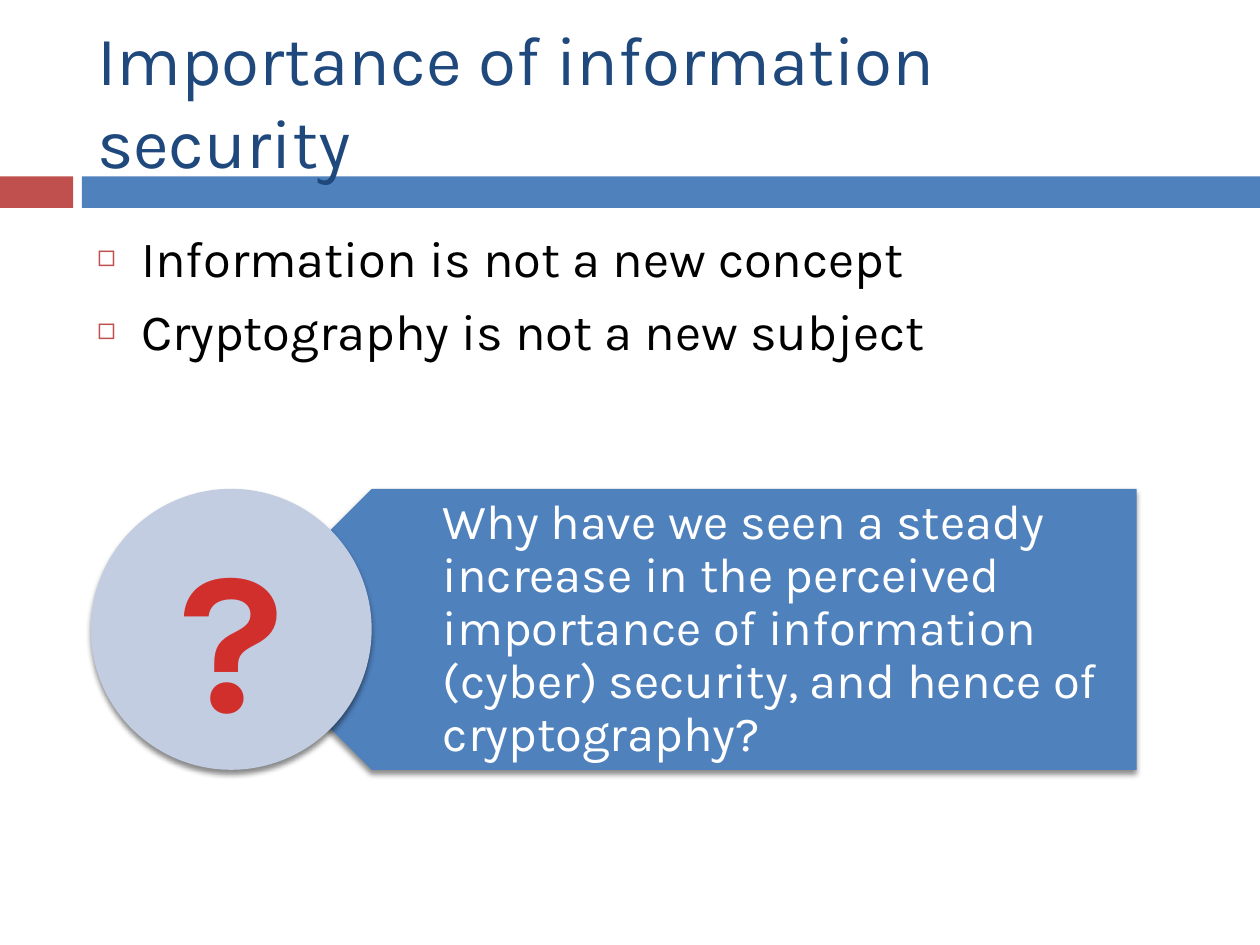
from dataclasses import dataclass

from lxml import etree
from pptx import Presentation
from pptx.dml.color import RGBColor
from pptx.enum.shapes import MSO_SHAPE
from pptx.enum.text import MSO_ANCHOR, MSO_AUTO_SIZE, PP_ALIGN
from pptx.oxml import parse_xml
from pptx.oxml.ns import nsdecls, qn
from pptx.util import Inches, Pt

RECTANGLE, ELLIPSE, PENTAGON = MSO_SHAPE.RECTANGLE, MSO_SHAPE.OVAL, MSO_SHAPE.PENTAGON
TOP, MIDDLE = MSO_ANCHOR.TOP, MSO_ANCHOR.MIDDLE
LEFT, CENTER = PP_ALIGN.LEFT, PP_ALIGN.CENTER
NO_AUTOSIZE = MSO_AUTO_SIZE.NONE

COLUMNS, ROWS = 10, 7.5  # grid cells of one inch
FONT = "Karla"
NAVY, BLUE, RED, PALE = "1F497D", "4F81BD", "C0504D", "C2CDE1"
BLACK, WHITE, SCARLET = "000000", "FFFFFF", "D02F2C"


@dataclass
class Box:
    """An area in grid columns and rows."""
    left: float
    top: float
    width: float
    height: float

    def emu(self):
        return [Inches(n) for n in (self.left, self.top, self.width, self.height)]


def color(value):
    return RGBColor.from_string(value)


def place(shape, box):
    shape.left, shape.top, shape.width, shape.height = box.emu()


def add_filled(shapes, kind, box, fill):
    shape = shapes.add_shape(kind, *box.emu())
    shape.shadow.inherit = False
    shape.fill.solid()
    shape.fill.fore_color.rgb = color(fill)
    shape.line.fill.background()
    return shape


def add_shadow(shape):
    """Cast a soft shadow straight down, whatever the shape's rotation."""
    effects = shape.element.spPr.find(qn("a:effectLst"))
    effects.append(parse_xml(
        f'<a:outerShdw {nsdecls("a")} blurRad="{Pt(3)}" dist="{Pt(2.4)}" '
        'dir="5400000" rotWithShape="0"><a:srgbClr val="000000">'
        '<a:alpha val="45000"/></a:srgbClr></a:outerShdw>'))


def write(shape, lines, size, ink, bold=False, align=LEFT, anchor=TOP, wrap=True,
          margins=(0.1, 0.05, 0.1, 0.05), before=0, spacing=1.0):
    """Fill a shape with one paragraph for each line; return the paragraphs."""
    frame = shape.text_frame
    frame.auto_size = NO_AUTOSIZE
    frame.word_wrap = wrap
    frame.vertical_anchor = anchor
    (frame.margin_left, frame.margin_top,
     frame.margin_right, frame.margin_bottom) = map(Inches, margins)
    frame.text = "\n".join(lines)
    for para in frame.paragraphs:
        para.alignment = align
        para.space_before = Pt(before)
        para.line_spacing = spacing
        font = para.runs[0].font
        font.name, font.size, font.bold = FONT, Pt(size), bold
        font.color.rgb = color(ink)
    return frame.paragraphs


def add_bullet(para, indent):
    props = para._p.get_or_add_pPr()
    props.set("marL", str(Inches(indent)))
    props.set("indent", str(-Inches(indent)))
    tint = etree.SubElement(props, qn("a:buClr"))
    etree.SubElement(tint, qn("a:srgbClr"), val=RED)
    etree.SubElement(props, qn("a:buSzPct"), val="60000")
    etree.SubElement(props, qn("a:buChar"), char="◻")


def draw_band(page, box, tab=0.58, gap=0.07):
    """Draw the two-colour band behind the title."""
    start = box.left + tab + gap
    parts = ((Box(box.left, box.top, tab, box.height), RED),
             (Box(start, box.top, box.width - tab - gap, box.height), BLUE))
    for part, fill in parts:
        bar = add_filled(page.shapes, RECTANGLE, part, fill)
        page.shapes.title.element.addprevious(bar.element)


def fill_title(page, box, text):
    place(page.shapes.title, box)
    write(page.shapes.title, [text], 39.6, NAVY, anchor=MIDDLE)


def fill_list(page, box, lines):
    body = page.placeholders[1]
    place(body, box)
    for para in write(body, lines, 29, BLACK, before=7):
        add_bullet(para, 0.35)


def draw_question(page, box, text):
    """Draw a disc with a question mark that overlaps an arrow-shaped panel."""
    shapes = page.shapes.add_group_shape().shapes
    side = box.height
    radius = side / 2
    right = box.left + box.width
    tip = box.left + radius

    panel = add_filled(shapes, PENTAGON, Box(tip, box.top, right - tip, side), BLUE)
    panel.rotation = 180
    add_shadow(panel)

    text_left = tip + 0.7
    label = shapes.add_textbox(*Box(text_left, box.top, right - text_left, side).emu())
    write(label, [text], 28, WHITE, anchor=MIDDLE, spacing=0.9,
          margins=(0.98, 0.09, 0.16, 0.09))

    disc = add_filled(shapes, ELLIPSE, Box(box.left, box.top, side, side), PALE)
    add_shadow(disc)

    mark = shapes.add_textbox(*Box(tip - 0.51, box.top + 0.12, 1.02, 2.04).emu())
    write(mark, ["?"], 115, SCARLET, bold=True, align=CENTER, wrap=False)


def main():
    deck = Presentation()
    deck.slide_width, deck.slide_height = Inches(COLUMNS), Inches(ROWS)
    page = deck.slides.add_slide(deck.slide_layouts[1])
    draw_band(page, Box(0, 1.4, COLUMNS, 0.25))
    fill_title(page, Box(0.67, 0.25, 8.92, 1.08), "Importance of information security")
    fill_list(page, Box(0.67, 1.75, 8.92, 1.53),
              ["Information is not a new concept", "Cryptography is not a new subject"])
    draw_question(page, Box(0.72, 3.88, 8.3, 2.23),
                  "Why have we seen a steady increase in the perceived importance of "
                  "information (cyber) security, and hence of cryptography?")
    deck.save("out.pptx")


if __name__ == "__main__":
    main()
